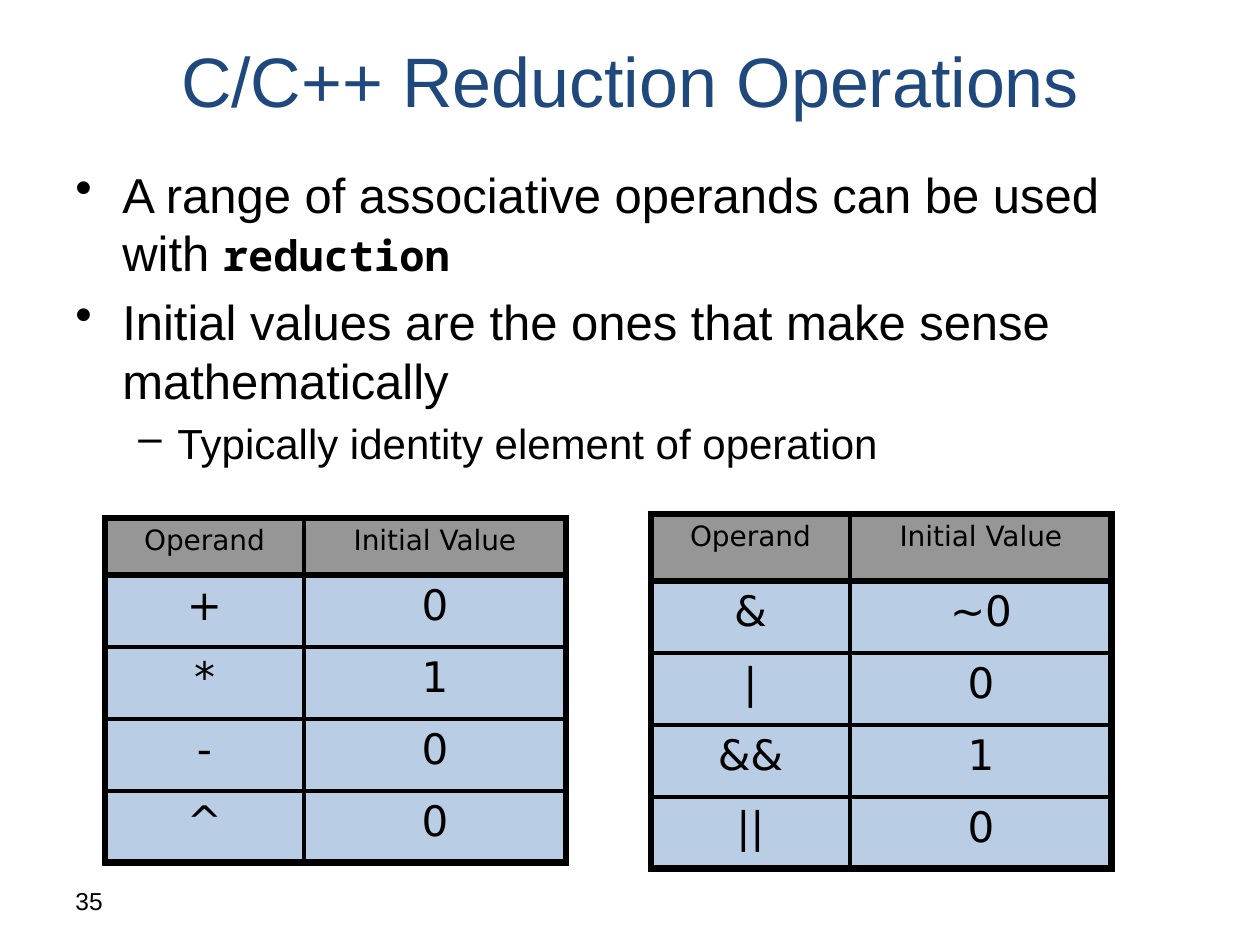
from pptx import Presentation
from pptx.dml.color import RGBColor
from pptx.enum.text import MSO_ANCHOR, PP_ALIGN
from pptx.oxml.ns import qn
from pptx.util import Pt
from lxml import etree

LEFT, CENTER = PP_ALIGN.LEFT, PP_ALIGN.CENTER
TOP, MIDDLE = MSO_ANCHOR.TOP, MSO_ANCHOR.MIDDLE
BLACK = RGBColor(0x00, 0x00, 0x00)
NAVY = RGBColor(0x1F, 0x49, 0x7D)
GRAY = RGBColor(0x96, 0x96, 0x96)
PALE_BLUE = RGBColor(0xB9, 0xCD, 0xE5)
THICK, THIN = 4.5, 2.25


def px(n):
    return round(n * 914400 / 126)


def write(p, text, size=28, font="Arial", color=BLACK, bold=False, align=LEFT):
    p.alignment = align
    r = p.add_run()
    r.text = text
    r.font.size = Pt(size)
    r.font.name = font
    r.font.color.rgb = color
    r.font.bold = bold


class SlideBuilder:
    """Holds the slide and adds text boxes, bullet lists and tables in one style."""

    code_font = "Noto Sans Mono"
    table_font = "DejaVu Sans"
    bullets = (("•", 47, 47), ("–", 102, 39))

    def __init__(self, slide):
        self.s = slide

    def box(self, x, y, w, h, anchor=TOP):
        tf = self.s.shapes.add_textbox(px(x), px(y), px(w), px(h)).text_frame
        tf.word_wrap = True
        tf.vertical_anchor = anchor
        return tf

    def label(self, x, y, w, h, text, **style):
        write(self.box(x, y, w, h, MIDDLE).paragraphs[0], text, **style)

    def bullet_list(self, x, y, w, h, items):
        tf = self.box(x, y, w, h)
        for i, (level, size, runs) in enumerate(items):
            p = tf.paragraphs[0] if i == 0 else tf.add_paragraph()
            char, margin, hang = self.bullets[level]
            p.level = level
            pPr = p._p.get_or_add_pPr()
            pPr.set("marL", str(px(margin)))
            pPr.set("indent", str(-px(hang)))
            etree.SubElement(pPr, qn("a:buChar"), char=char)
            if i:
                p.space_before = Pt(size * 0.2)
            for text, style in runs:
                write(p, text, **{"size": size, **style})

    def border(self, cell, side, width):
        tcPr = cell._tc.get_or_add_tcPr()
        ln = etree.SubElement(tcPr, qn("a:ln" + side), w=str(Pt(width)))
        fill = etree.SubElement(ln, qn("a:solidFill"))
        etree.SubElement(fill, qn("a:srgbClr"), val=str(BLACK))

    def table(self, x, y, cols, header_height, row_height, rows):
        heights = [header_height] + [row_height] * (len(rows) - 1)
        frame = self.s.shapes.add_table(len(rows), len(cols), px(x), px(y),
                                        px(sum(cols)), px(sum(heights)))
        table = frame.table
        table.first_row = table.horz_banding = False
        for column, width in zip(table.columns, cols):
            column.width = px(width)
        last_row, last_col = len(rows) - 1, len(cols) - 1
        for i, values in enumerate(rows):
            table.rows[i].height = px(heights[i])
            for j, value in enumerate(values):
                cell = table.cell(i, j)
                edges = {"L": j == 0, "R": j == last_col,
                         "T": i <= 1, "B": i in (0, last_row)}
                for side, is_thick in edges.items():
                    self.border(cell, side, THICK if is_thick else THIN)
                cell.fill.solid()
                cell.fill.fore_color.rgb = PALE_BLUE if i else GRAY
                write(cell.text_frame.paragraphs[0], value, size=24 if i else 16,
                      font=self.table_font, align=CENTER)


def main():
    prs = Presentation()
    prs.slide_width, prs.slide_height = px(1260), px(945)
    b = SlideBuilder(prs.slides.add_slide(prs.slide_layouts[6]))

    b.label(63, 876, 294, 50, "35", size=14)
    b.label(63, 0, 1134, 158, "C/C++ Reduction Operations",
            size=40, color=NAVY, align=CENTER)
    b.bullet_list(63, 158, 1134, 703, [
        (0, 28, [("A range of associative operands can be used with ", {}),
                 ("reduction", {"size": 24, "font": b.code_font, "bold": True})]),
        (0, 28, [("Initial values are the ones that make sense mathematically", {})]),
        (1, 24, [("Typically identity element of operation", {})]),
    ])

    header = ("Operand", "Initial Value")
    cols = (199, 262)
    b.table(105, 518, cols, 57, 72,
            [header, ("+", "0"), ("*", "1"), ("-", "0"), ("^", "0")])
    b.table(651, 514, cols, 67, 72,
            [header, ("&", "~0"), ("|", "0"), ("&&", "1"), ("||", "0")])
    prs.save("out.pptx")


if __name__ == "__main__":
    main()
